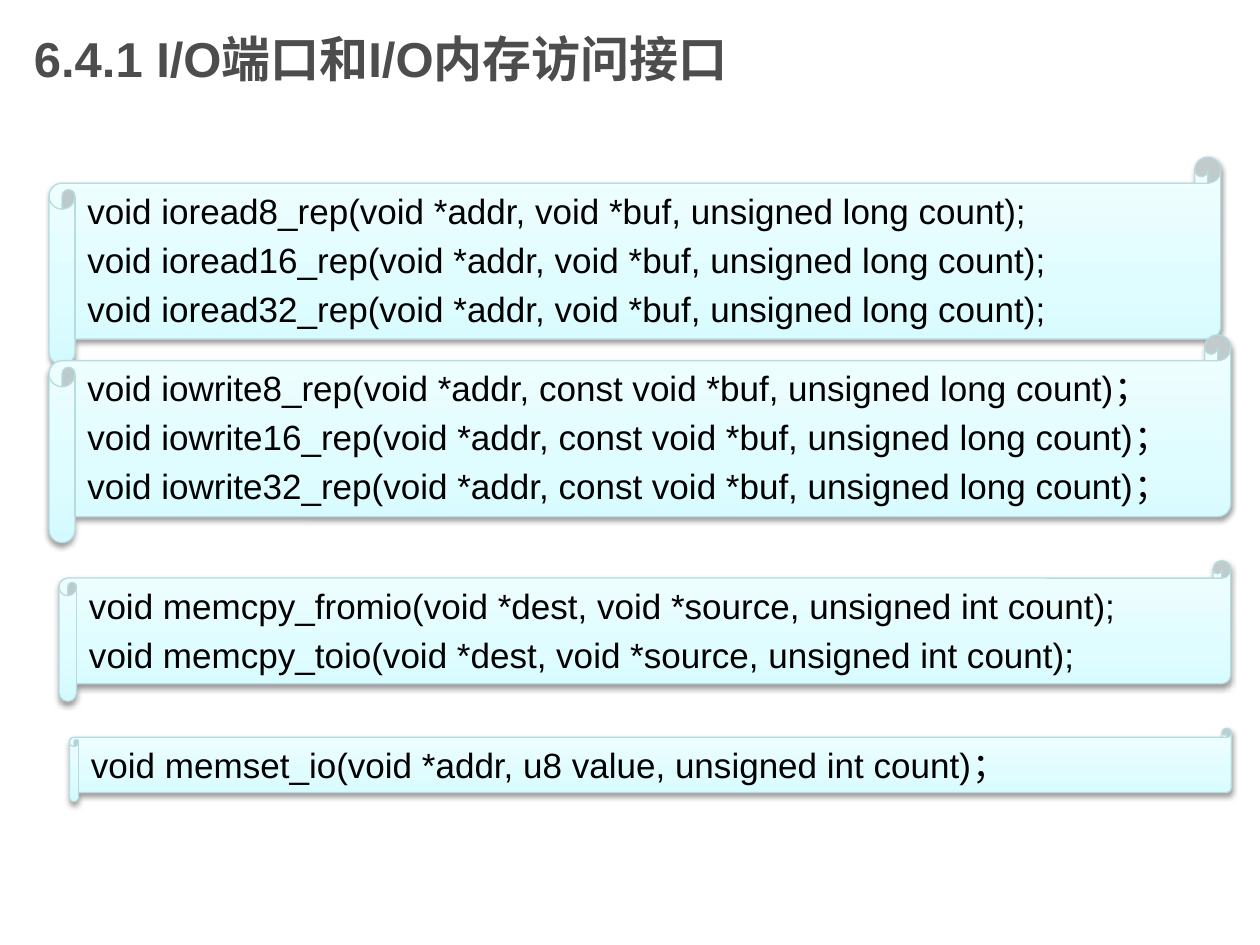
from dataclasses import dataclass

from lxml.etree import SubElement
from pptx import Presentation
from pptx.dml.color import RGBColor
from pptx.enum.shapes import MSO_SHAPE
from pptx.enum.text import MSO_ANCHOR, MSO_AUTO_SIZE, PP_ALIGN
from pptx.oxml import parse_xml
from pptx.oxml.ns import nsdecls, qn
from pptx.slide import Slide
from pptx.text.text import Font
from pptx.util import Cm, Pt

FONT_NAME = "Arial"
TITLE_GREY = RGBColor(0x4D, 0x4D, 0x4D)
BLACK = RGBColor(0x00, 0x00, 0x00)
SCROLL_LINE = RGBColor(0xB6, 0xDC, 0xDF)
# Position in percent and colour, running from bottom to top
SCROLL_GRADIENT = (
    (0, RGBColor(0xD3, 0xFB, 0xFF)),
    (35, RGBColor(0xDF, 0xFC, 0xFF)),
    (100, RGBColor(0xF2, 0xFE, 0xFF)),
)
INDENT = Cm(1.27)
WIDTHS = (8, 16, 32)


@dataclass(frozen=True)
class CodeScroll:
    left: float
    top: float
    width: float
    height: float
    lines: tuple[str, ...]


SCROLLS = (
    CodeScroll(0.99, 3.17, 23.62, 4.19, tuple(
        f"void ioread{bits}_rep(void *addr, void *buf, unsigned long count);"
        for bits in WIDTHS)),
    CodeScroll(0.99, 6.75, 23.82, 4.19, tuple(
        f"void iowrite{bits}_rep(void *addr, const void *buf, unsigned long count)；"
        for bits in WIDTHS)),
    CodeScroll(1.19, 11.3, 23.62, 2.84, (
        "void memcpy_fromio(void *dest, void *source, unsigned int count);",
        "void memcpy_toio(void *dest, void *source, unsigned int count);")),
    CodeScroll(1.4, 14.68, 23.42, 1.48, (
        "void memset_io(void *addr, u8 value, unsigned int count)；",)),
)


def format_font(font: Font, size: float, color: RGBColor, bold: bool = False) -> None:
    font.name = FONT_NAME
    font.size = Pt(size)
    font.bold = bold
    font.color.rgb = color


def add_title(slide: Slide, text: str) -> None:
    title = slide.shapes.title
    title.left, title.top, title.width, title.height = Cm(0.43), Cm(0), Cm(19.05), Cm(2.34)
    text_frame = title.text_frame
    text_frame.text = text
    text_frame.vertical_anchor = MSO_ANCHOR.MIDDLE
    paragraph = text_frame.paragraphs[0]
    paragraph.alignment = PP_ALIGN.LEFT
    format_font(paragraph.runs[0].font, 28, TITLE_GREY, bold=True)


def add_scroll(slide: Slide, scroll: CodeScroll) -> None:
    shape = slide.shapes.add_shape(
        MSO_SHAPE.HORIZONTAL_SCROLL,
        Cm(scroll.left), Cm(scroll.top), Cm(scroll.width), Cm(scroll.height))
    shape.line.color.rgb = SCROLL_LINE
    shape.line.width = Pt(0.75)

    # Gradient with three stops, and a soft shadow below
    stops = "".join(
        f'<a:gs pos="{position * 1000}"><a:srgbClr val="{color}"/></a:gs>'
        for position, color in SCROLL_GRADIENT)
    properties = shape.element.spPr
    properties.find(qn("a:ln")).addprevious(parse_xml(
        f'<a:gradFill {nsdecls("a")} rotWithShape="1"><a:gsLst>{stops}</a:gsLst>'
        '<a:lin ang="16200000" scaled="0"/></a:gradFill>'))
    properties.append(parse_xml(
        f'<a:effectLst {nsdecls("a")}>'
        '<a:outerShdw blurRad="40000" dist="20000" dir="5400000" rotWithShape="0">'
        '<a:srgbClr val="000000"><a:alpha val="38000"/></a:srgbClr>'
        '</a:outerShdw></a:effectLst>'))

    # Function prototypes, one per paragraph
    text_frame = shape.text_frame
    text_frame.text = "\n".join(scroll.lines)
    text_frame.word_wrap = True
    text_frame.auto_size = MSO_AUTO_SIZE.SHAPE_TO_FIT_TEXT
    text_frame.vertical_anchor = MSO_ANCHOR.TOP
    for paragraph in text_frame.paragraphs:
        paragraph.alignment = PP_ALIGN.LEFT
        paragraph_properties = paragraph._p.get_or_add_pPr()
        paragraph_properties.set("marL", str(INDENT))
        paragraph_properties.set("indent", str(-INDENT))
        space_before = SubElement(paragraph_properties, qn("a:spcBef"))
        SubElement(space_before, qn("a:spcPct")).set("val", "20000")
        format_font(paragraph.runs[0].font, 20, BLACK)


def main() -> None:
    presentation = Presentation()
    presentation.slide_width = Cm(25.4)
    presentation.slide_height = Cm(19.05)
    slide = presentation.slides.add_slide(presentation.slide_layouts[5])
    add_title(slide, "6.4.1 I/O端口和I/O内存访问接口")
    for scroll in SCROLLS:
        add_scroll(slide, scroll)
    presentation.save("out.pptx")


if __name__ == "__main__":
    main()
